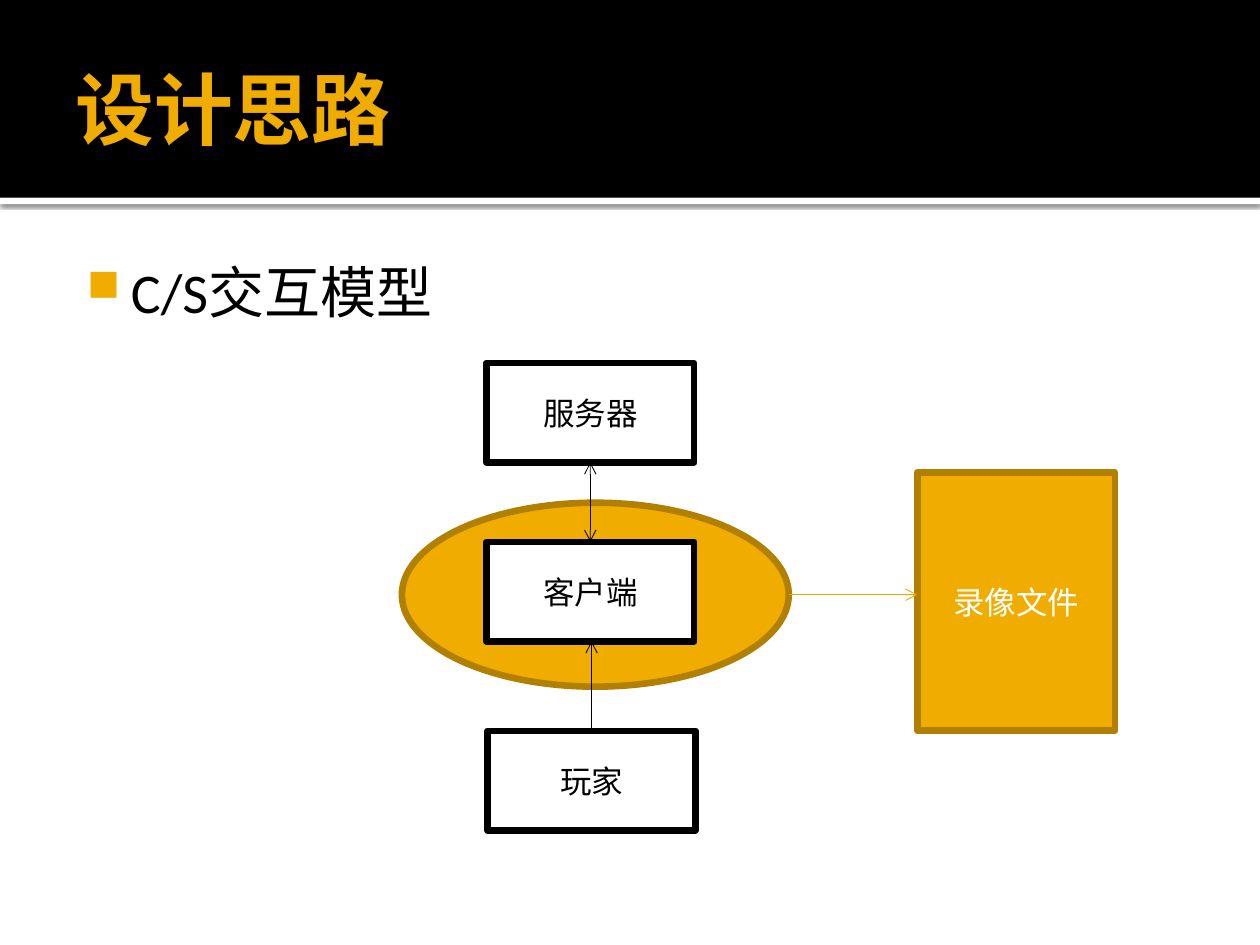
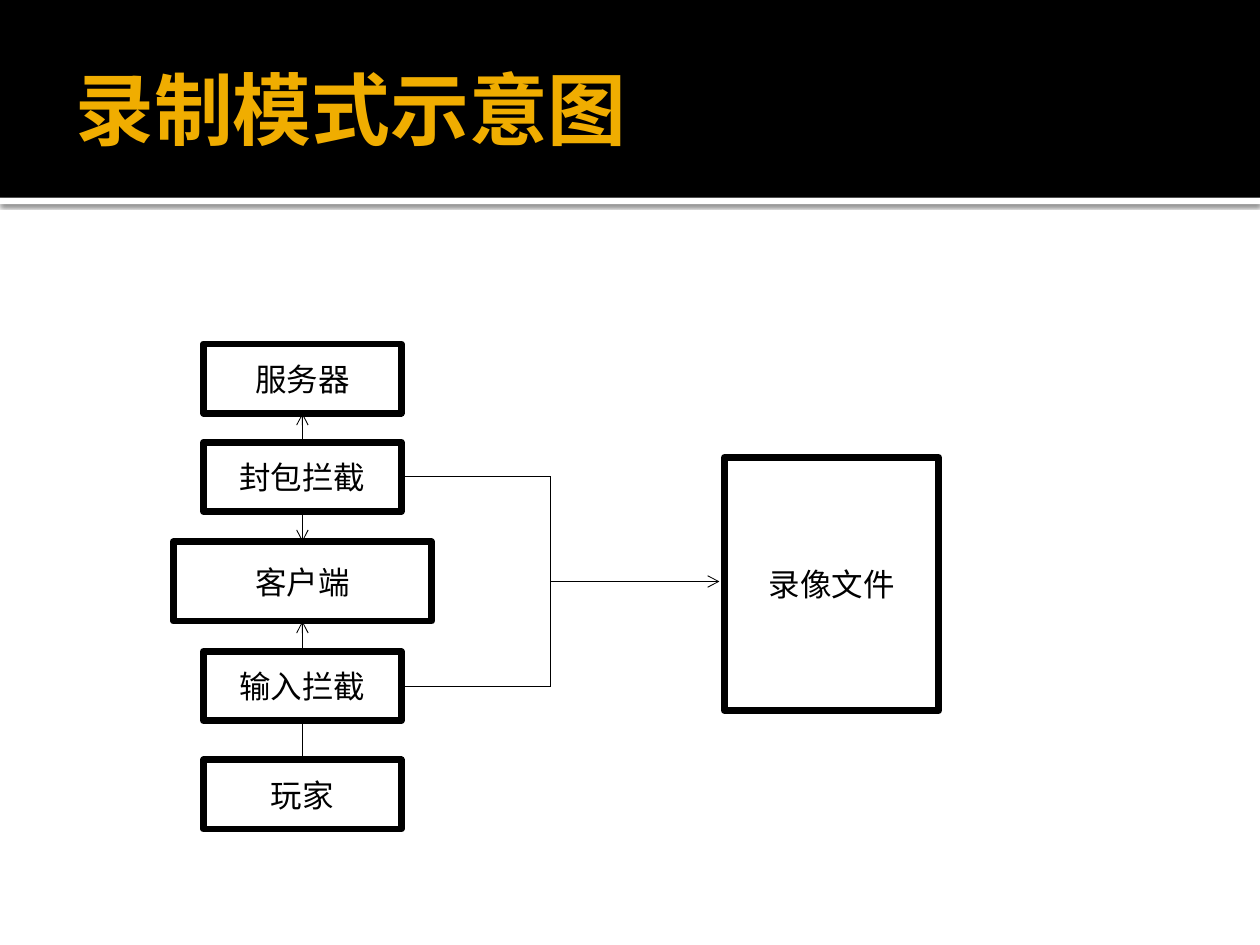
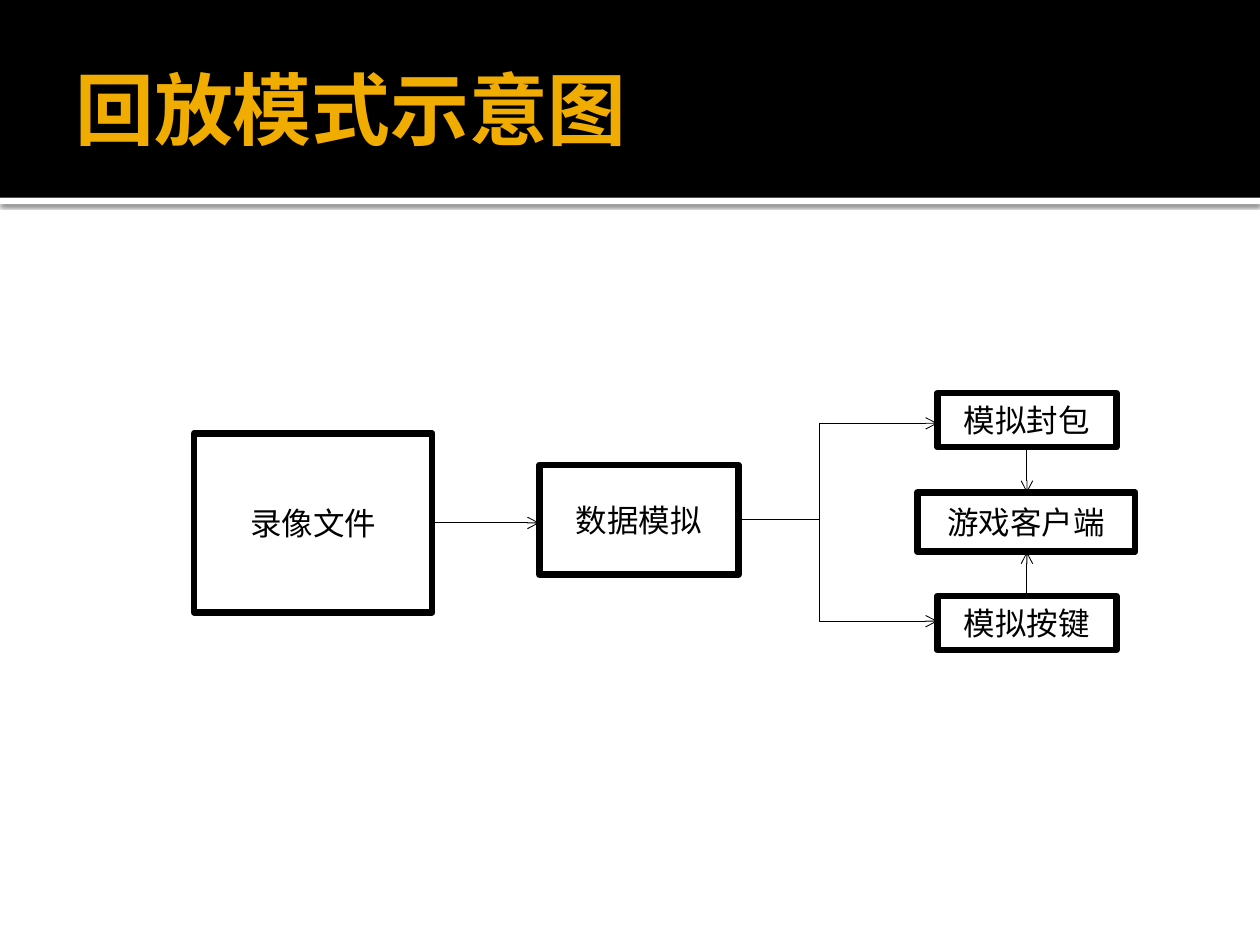
from collections import namedtuple
from dataclasses import dataclass
from lxml import etree
from pptx import Presentation
from pptx.dml.color import RGBColor as RGB
from pptx.enum.shapes import MSO_CONNECTOR as Wire, MSO_SHAPE as Form
from pptx.enum.text import MSO_ANCHOR as Anchor, PP_ALIGN as Align
from pptx.oxml.ns import qn
from pptx.util import Inches, Pt


@dataclass(frozen=True)
class Theme:
    gold: str = "F0AD00"
    edge: str = "B28000"
    wire: str = "EBA900"
    ink: str = "000000"
    paper: str = "FFFFFF"
    font: str = "Calibri"
    title: float = 45
    body: float = 32
    label: float = 18
    border: float = 3.78
    thin: float = 0.5


T = Theme()
COLS, ROWS = 100, 75
Box = namedtuple("Box", "text x y w h gold form", defaults=("", 0, 0, 0, 0, False, Form.RECTANGLE))
Link = namedtuple("Link", "start end head tail color", defaults=(False, True, T.ink))


def node(x, y):
    return Box(x=x, y=y)


SLIDES = [
    {
        "title": "设计思路",
        "point": "C/S交互模型",
        "boxes": {
            "oval": Box("", 47.25, 47.2, 30.7, 14.6, True, Form.OVAL),
            "client": Box("客户端", 46.85, 46.95, 16.5, 7.9),
            "server": Box("服务器", 46.85, 32.75, 16.5, 7.9),
            "player": Box("玩家", 46.95, 61.95, 16.5, 7.9),
            "file": Box("录像文件", 80.65, 47.75, 15.7, 20.5, True),
        },
        "under": [],
        "over": [
            Link("server", "client", True),
            Link("player", "client"),
            Link("oval", "file", color=T.wire),
        ],
    },
    {
        "title": "录制模式示意图",
        "boxes": {
            "client": Box("客户端", 24, 46.15, 20.5, 6.3),
            "input": Box("输入拦截", 24, 54.45, 15.7, 5.5),
            "player": Box("玩家", 24, 63.05, 15.7, 5.5),
            "packet": Box("封包拦截", 24, 37.85, 15.7, 5.5),
            "server": Box("服务器", 24, 30.05, 15.7, 5.5),
            "file": Box("录像文件", 66, 46.35, 17, 20.1),
            "top": node(43.7, 37.85),
            "mid": node(43.7, 46.15),
            "low": node(43.7, 54.45),
            "tip": node(57.1, 46.15),
        },
        "under": [Link("server", "client", True), Link("player", "client")],
        "over": [
            Link("packet", "top", tail=False),
            Link("input", "low", tail=False),
            Link("top", "low", tail=False),
            Link("mid", "tip"),
        ],
    },
    {
        "title": "回放模式示意图",
        "boxes": {
            "file": Box("录像文件", 24.85, 41.5, 18.9, 14.2),
            "client": Box("游戏客户端", 81.45, 41.45, 17.3, 4.7),
            "data": Box("数据模拟", 50.7, 41.25, 15.8, 8.7),
            "packet": Box("模拟封包", 81.5, 33.35, 14.2, 4.3),
            "keys": Box("模拟按键", 81.5, 49.45, 14.2, 4.3),
            "top": node(65, 33.6),
            "mid": node(65, 41.25),
            "low": node(65, 49.3),
        },
        "under": [],
        "over": [
            Link("file", "data"),
            Link("data", "mid", tail=False),
            Link("top", "low", tail=False),
            Link("top", "packet"),
            Link("low", "keys"),
            Link("packet", "client"),
            Link("keys", "client"),
        ],
    },
]

deck = Presentation()
deck.slide_width, deck.slide_height = Inches(10), Inches(7.5)


def place(*spots):
    sizes = (deck.slide_width / COLS, deck.slide_height / ROWS)
    return [round(spot * sizes[i % 2]) for i, spot in enumerate(spots)]


def sub(parent, tag, **attrs):
    return etree.SubElement(parent, qn(tag), {k: str(v) for k, v in attrs.items()})


def write(frame, text, size, color, bold=False):
    frame.word_wrap = True
    para = frame.paragraphs[0]
    para.text = text
    font = para.font
    font.name, font.size, font.bold = T.font, Pt(size), bold
    font.color.rgb = RGB.from_string(color)
    return para


def block(slide, form, spots, fill, edge=None):
    shape = slide.shapes.add_shape(form, *place(*spots))
    shape.fill.solid()
    shape.fill.fore_color.rgb = RGB.from_string(fill)
    if edge:
        shape.line.color.rgb = RGB.from_string(edge)
        shape.line.width = Pt(T.border)
    else:
        shape.line.fill.background()
    shape.shadow.inherit = False
    return shape


def label(slide, spots, pads):
    frame = slide.shapes.add_textbox(*place(*spots)).text_frame
    (frame.margin_left, frame.margin_top,
     frame.margin_right, frame.margin_bottom) = map(Inches, pads)
    return frame


def band(slide):
    strip = block(slide, Form.RECTANGLE, (0, 15.7, COLS, 0.5), T.paper)
    glow = sub(strip.element.spPr.find(qn("a:effectLst")), "a:outerShdw",
               blurRad=Pt(2.5), dist=Pt(0.8), dir=90 * 60000, algn="t", rotWithShape=0)
    sub(sub(glow, "a:srgbClr", val=T.ink), "a:alpha", val=60000)
    block(slide, Form.RECTANGLE, (0, 0, COLS, 15.7), T.ink)


def head(slide, text):
    frame = label(slide, (5, 1.7, 90, 13.7), (0.1, 0.05, 0.05, 0.05))
    frame.vertical_anchor = Anchor.MIDDLE
    write(frame, text, T.title, T.gold, True)


def point(slide, text):
    frame = label(slide, (5, 19.4, 90, 50.6), (0.06, 0.1, 0.1, 0.05))
    props = write(frame, text, T.body, T.ink)._p.get_or_add_pPr()
    props.set("marL", str(Inches(0.48)))
    props.set("indent", str(Inches(-0.35)))
    marks = [etree.Element(qn(tag)) for tag in ("a:buClr", "a:buSzPct", "a:buChar")]
    sub(marks[0], "a:srgbClr", val=T.gold)
    marks[1].set("val", "80000")
    marks[2].set("char", "■")
    for i, mark in enumerate(marks):
        props.insert(i, mark)


def draw(slide, box):
    fill, edge, ink = (T.gold, T.edge, T.paper) if box.gold else (T.paper, T.ink, T.ink)
    spots = (box.x - box.w / 2, box.y - box.h / 2, box.w, box.h)
    shape = block(slide, box.form, spots, fill, edge)
    if box.text:
        frame = shape.text_frame
        frame.vertical_anchor = Anchor.MIDDLE
        write(frame, box.text, T.label, ink).alignment = Align.CENTER


def ends(a, b):
    dx, dy = b.x - a.x, b.y - a.y
    if abs(dx) > abs(dy):
        way = 1 if dx > 0 else -1
        return a.x + way * a.w / 2, a.y, b.x - way * b.w / 2, a.y
    way = 1 if dy > 0 else -1
    return a.x, a.y + way * a.h / 2, a.x, b.y - way * b.h / 2


def join(slide, boxes, link):
    spots = ends(boxes[link.start], boxes[link.end])
    wire = slide.shapes.add_connector(Wire.STRAIGHT, *place(*spots))
    wire.line.width = Pt(T.thin)
    wire.line.color.rgb = RGB.from_string(link.color)
    props = wire.element.spPr
    for tag, shown in (("a:headEnd", link.head), ("a:tailEnd", link.tail)):
        if shown:
            sub(props.find(qn("a:ln")), tag, type="arrow")
    sub(props, "a:effectLst")


for page in SLIDES:
    slide = deck.slides.add_slide(deck.slide_layouts[6])
    boxes = page["boxes"]
    band(slide)
    head(slide, page["title"])
    if "point" in page:
        point(slide, page["point"])
    for link in page["under"]:
        join(slide, boxes, link)
    for box in boxes.values():
        if box.w:
            draw(slide, box)
    for link in page["over"]:
        join(slide, boxes, link)

deck.save("out.pptx")
